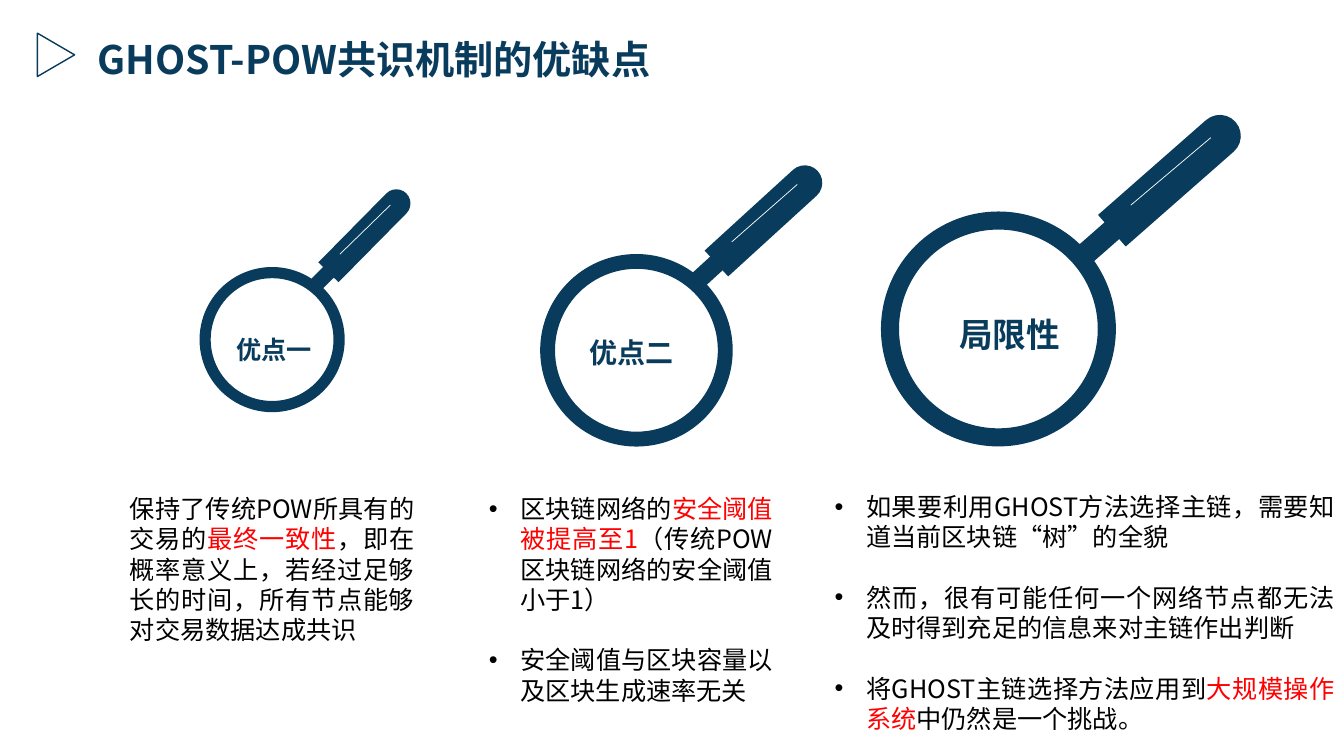
"""Builds the slide on the strengths and limits of GHOST-POW consensus."""
from math import cos, radians, sin

from lxml.etree import SubElement
from pptx import Presentation
from pptx.dml.color import RGBColor
from pptx.enum.shapes import MSO_CONNECTOR, MSO_SHAPE
from pptx.enum.text import MSO_ANCHOR, MSO_AUTO_SIZE, PP_ALIGN
from pptx.oxml.ns import qn
from pptx.util import Pt

NAVY = RGBColor(0x09, 0x3B, 0x5C)
BLACK = RGBColor(0, 0, 0)
RED = RGBColor(0xFF, 0, 0)
WHITE = RGBColor(0xFF, 0xFF, 0xFF)
FONT = "Noto Sans CJK SC"


def write(sp, box, paras, size=18, color=BLACK, bold=False,
          align=PP_ALIGN.JUSTIFY, bullet=False):
    """Fill a shape with paragraphs; every second run of each is red."""
    sp.left, sp.top, sp.width, sp.height = [Pt(v) for v in box]
    tf = sp.text_frame
    tf.word_wrap = True
    tf.auto_size = MSO_AUTO_SIZE.NONE
    tf.vertical_anchor = MSO_ANCHOR.TOP
    tf.margin_left = tf.margin_right = Pt(7.2)
    tf.margin_top, tf.margin_bottom = Pt(3.6 + 0.1 * size), Pt(0)
    for i, runs in enumerate(paras):
        p = tf.paragraphs[0] if i == 0 else tf.add_paragraph()
        if bullet:
            pPr = p._p.get_or_add_pPr()
            pPr.set("marL", str(Pt(22.5)))
            pPr.set("indent", str(-Pt(22.5)))
            SubElement(pPr, qn("a:buFont")).set("typeface", "Arial")
            SubElement(pPr, qn("a:buChar")).set("char", "•")
        p.alignment = align
        p.line_spacing = Pt(1.2 * size)
        p.space_before = Pt(1.2 * size if i else 0)
        for j, text in enumerate(runs):
            r = p.add_run()
            r.text = text
            r.font.size, r.font.bold, r.font.name = Pt(size), bold, FONT
            r.font.color.rgb = RED if j % 2 else color
            SubElement(r._r.get_or_add_rPr(), qn("a:ea")).set("typeface", FONT)


def add_part(shapes, kind, cx, cy, w, h, angle=0, adj=None):
    """Add a navy shape centred on a point."""
    sp = shapes.add_shape(kind, Pt(cx - w / 2), Pt(cy - h / 2), Pt(w), Pt(h))
    sp.rotation = angle
    sp.shadow.inherit = False
    sp.fill.solid()
    sp.fill.fore_color.rgb = NAVY
    sp.line.fill.background()
    if adj is not None:
        sp.adjustments[0] = adj
    return sp


prs = Presentation()
prs.slide_width, prs.slide_height = Pt(960), Pt(540)
s = prs.slides.add_slide(prs.slide_layouts[3])
title, list_two, list_three = s.placeholders

write(title, (62.6, 18.7, 530, 41), [["GHOST-POW共识机制的优缺点"]],
      size=28, color=NAVY, bold=True, align=PP_ALIGN.LEFT)
marker = add_part(s.shapes, MSO_SHAPE.ISOSCELES_TRIANGLE, 40, 39.2, 31, 26.6, 90)
marker.fill.background()
marker.line.color.rgb = NAVY
marker.line.width = Pt(1)

# lens centre x, y, diameter; handle centre x, y, width, angle; label, size, box
glasses = [
    (194.4, 242.6, 103.7, 262.4, 166.3, 20.2, 44.6,
     "优点一", 18, (145.4, 233.3, 100.8, 29)),
    (454.6, 250.2, 137.5, 547.9, 155.2, 25, 47.6,
     "优点二", 20, (391, 234, 120.2, 32)),
    (713.2, 235, 167.8, 838.4, 126, 30, 48.7,
     "局限性", 24, (657.4, 218.2, 127.4, 36)),
]
for lx, ly, d, hx, hy, w, angle, label, size, box in glasses:
    sn, cs = sin(radians(angle)), cos(radians(angle))
    grp = s.shapes.add_group_shape()
    add_part(grp.shapes, MSO_SHAPE.ROUND_2_SAME_RECTANGLE,
             hx, hy, w, 3.92 * w, angle, 0.5)
    add_part(grp.shapes, MSO_SHAPE.RECTANGLE, hx - 2.26 * w * sn,
             hy + 2.26 * w * cs, 0.53 * w, 1.02 * w, angle)
    ends = [Pt(v) for along, side in ((-1.22, 0.16), (1.27, 0.11))
            for v in (hx + w * (along * sn - side * cs),
                      hy - w * (along * cs + side * sn))]
    shine = grp.shapes.add_connector(MSO_CONNECTOR.STRAIGHT, *ends)
    shine.line.color.rgb = WHITE
    shine.line.width = Pt(0.5)
    SubElement(shine._element.spPr, qn("a:effectLst"))
    add_part(grp.shapes, MSO_SHAPE.DONUT, lx, ly, d, d, adj=0.077)
    write(s.shapes.add_textbox(0, 0, 0, 0), box, [[label]], size=size,
          color=NAVY, bold=True, align=PP_ALIGN.CENTER)

write(s.shapes.add_textbox(0, 0, 0, 0), (85.7, 347, 217.4, 116.6), [
    ["保持了传统POW所具有的交易的", "最终一致性",
     "，即在概率意义上，若经过足够长的时间，所有节点能够对交易数据达成共识"],
])
write(list_two, (342, 347, 217.4, 160), [
    ["区块链网络的", "安全阈值被提高至1", "（传统POW区块链网络的安全阈值小于1）"],
    ["安全阈值与区块容量以及区块生成速率无关"],
], bullet=True)
write(list_three, (589, 345.6, 371.5, 181.4), [
    ["如果要利用GHOST方法选择主链，需要知道当前区块链“树”的全貌"],
    ["然而，很有可能任何一个网络节点都无法及时得到充足的信息来对主链作出判断"],
    ["将GHOST主链选择方法应用到", "大规模操作系统", "中仍然是一个挑战。"],
], bullet=True)

prs.save("out.pptx")
